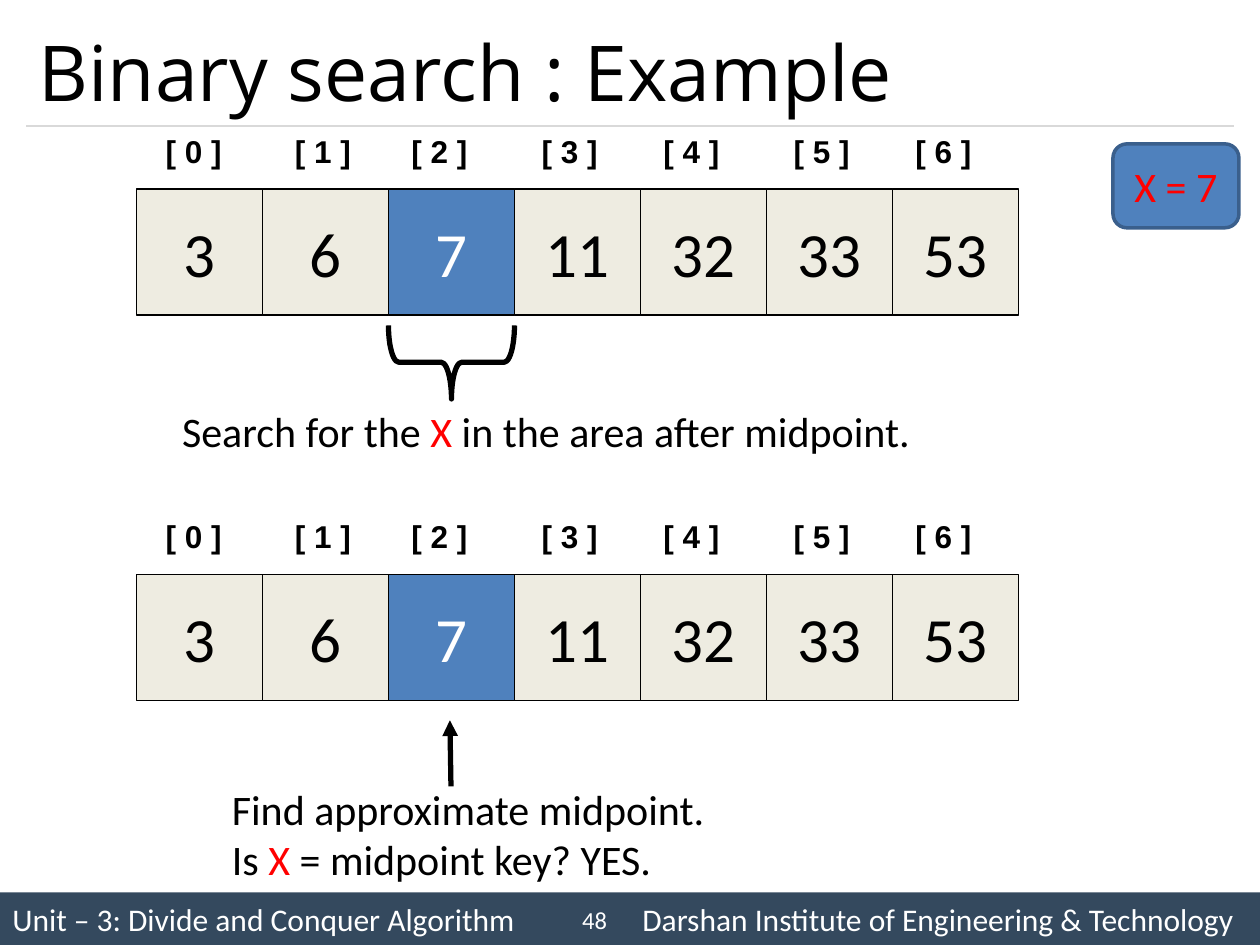
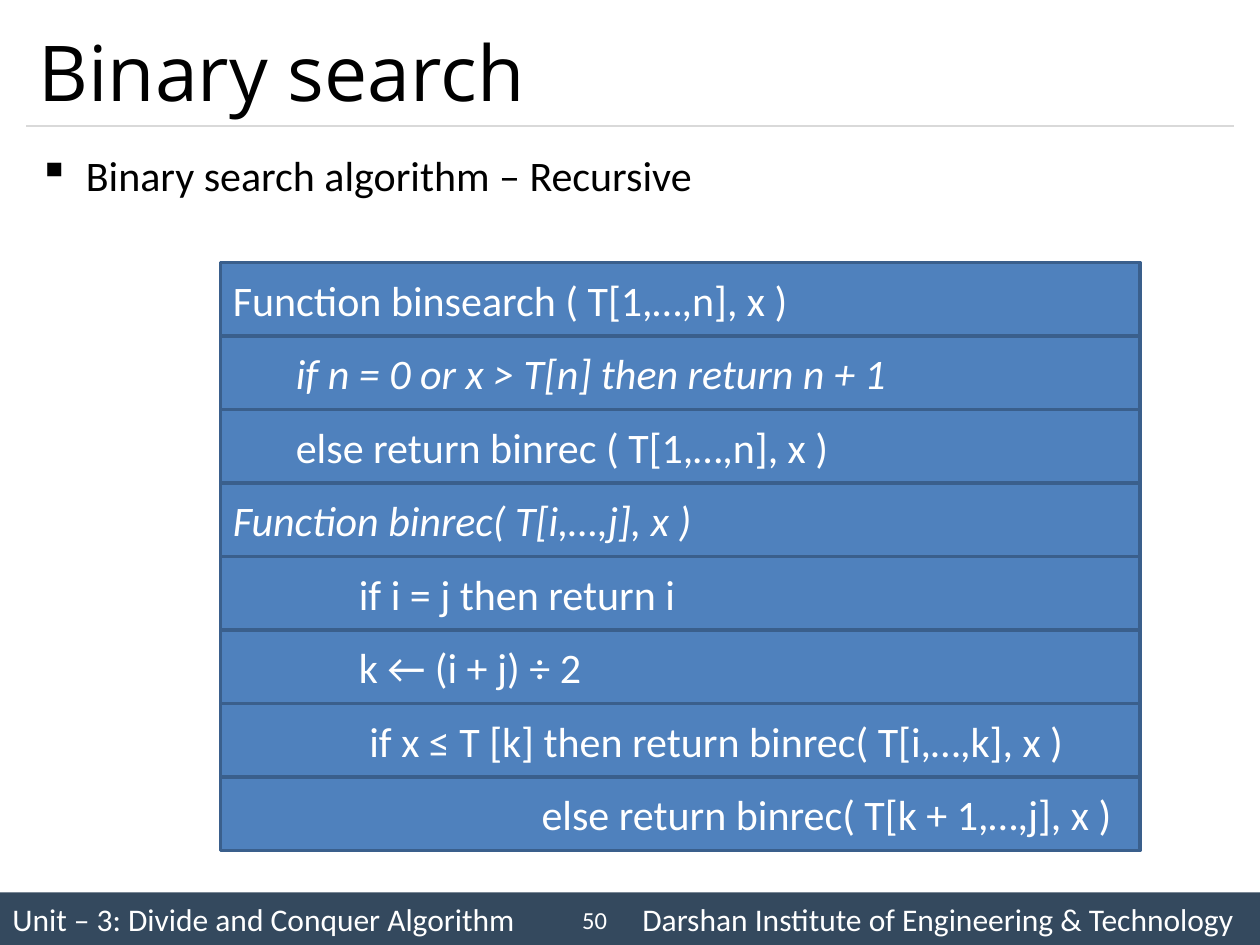
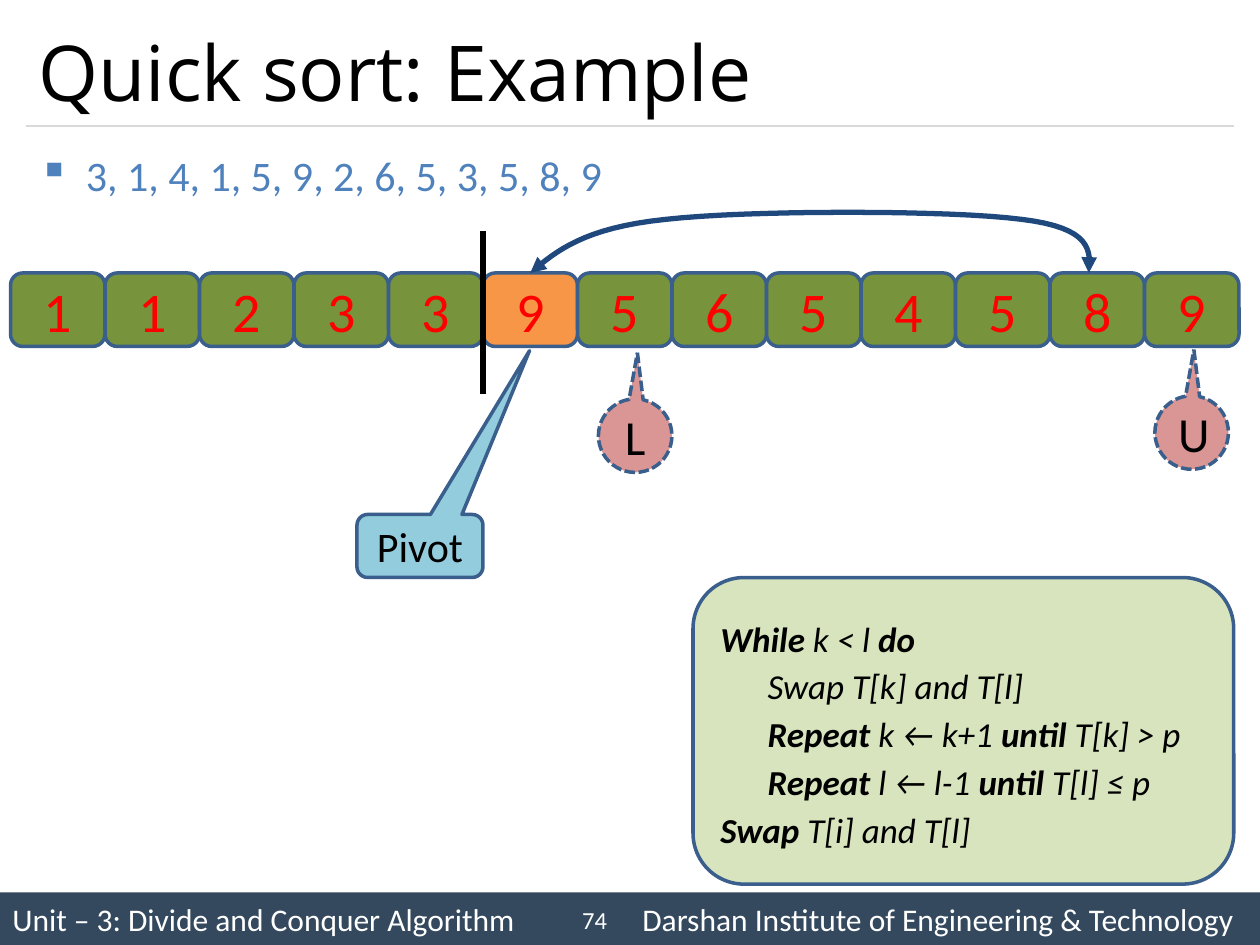
"""Builds three lecture slides on binary search and quick sort."""
from lxml.etree import SubElement
from pptx import Presentation
from pptx.dml.color import RGBColor
from pptx.enum.dml import MSO_LINE
from pptx.enum.shapes import MSO_CONNECTOR, MSO_SHAPE
from pptx.enum.text import MSO_ANCHOR, PP_ALIGN
from pptx.oxml.ns import qn
from pptx.util import Inches, Pt

BLACK, WHITE, RED = "000000", "FFFFFF", "FF0000"
BLUE, EDGE, NAVY, BAND, RULE = "4F81BD", "3A5F8C", "1F497D", "34495E", "D9D9D9"
CREAM, GREEN, ORANGE = "EEECE1", "77933C", "F79646"
ROSE, SKY, LIME = "D99694", "93CDDD", "D7E4BD"
LEFT, CENTER, RIGHT, JUSTIFY = PP_ALIGN.LEFT, PP_ALIGN.CENTER, PP_ALIGN.RIGHT, PP_ALIGN.JUSTIFY
BLANK_LAYOUT = 6
UNITS_PER_INCH = 12


def grid(units):
    """Turn columns or rows of the 120 by 90 slide grid into a length."""
    return Inches(units / UNITS_PER_INCH)


def rgb(code):
    """Turn a hex string into a colour."""
    return RGBColor.from_string(code)


def write(box, *lines, size=24, color=BLACK, font="Calibri", bold=False, italic=False,
          align=LEFT, anchor=MSO_ANCHOR.MIDDLE, spacing=None, indents=(), hanging=0,
          bullet=None, tab=None, accent=None):
    """Write one paragraph per line; parts between bars take the accent format."""
    frame = box.text_frame
    frame.word_wrap = True
    frame.vertical_anchor = anchor
    base = {"color": color, "bold": bold, "italic": italic}
    for index, line in enumerate(lines):
        para = frame.paragraphs[0] if index == 0 else frame.add_paragraph()
        para.alignment = align
        if spacing:
            para.line_spacing = spacing
        properties = para._p.get_or_add_pPr()
        if indents:
            properties.set("marL", str(grid(indents[index])))
            properties.set("indent", str(-grid(hanging)))
        if bullet:
            SubElement(properties, qn("a:buChar"), char=bullet)
        if tab:
            stops = SubElement(properties, qn("a:tabLst"))
            SubElement(stops, qn("a:tab"), pos=str(grid(tab)), algn="l")
        for part, text in enumerate(line.split("|")):
            if not text:
                continue
            style = {**base, **accent} if accent and part % 2 else base
            span = para.add_run()
            span.text = text
            span.font.name = font
            span.font.size = Pt(size)
            span.font.bold = style["bold"]
            span.font.italic = style["italic"]
            span.font.color.rgb = rgb(style["color"])


def stroke(line, color, width, heads=()):
    """Set the colour, width and arrowheads of a line."""
    line.color.rgb = rgb(color)
    line.width = Pt(width)
    for end in heads:
        SubElement(line._get_or_add_ln(), qn(f"a:{end}"), type="triangle")


def bezier(start, first, second, end, steps=16):
    """List the points after the start along a cubic curve."""
    points = []
    for step in range(1, steps + 1):
        t = step / steps
        weights = ((1 - t) ** 3, 3 * t * (1 - t) ** 2, 3 * t * t * (1 - t), t ** 3)
        points.append(tuple(sum(weight * point[axis] for weight, point
                                in zip(weights, (start, first, second, end)))
                            for axis in (0, 1)))
    return points


class Lecture:
    """Holds the deck style and the current slide."""

    def __init__(self):
        """Start an empty deck of 10 by 7.5 inches."""
        self.deck = Presentation()
        self.deck.slide_width = grid(120)
        self.deck.slide_height = grid(90)
        self.page = None

    def new_page(self, title, number):
        """Add a slide with its title, rule, footer band and page number."""
        self.page = self.deck.slides.add_slide(self.deck.slide_layouts[BLANK_LAYOUT])
        band = self.shape(MSO_SHAPE.RECTANGLE, 0, 85, 120, 5, fill=BAND, edge=None)
        write(band, "Unit – 3: Divide and Conquer Algorithm\t"
                    "Darshan Institute of Engineering & Technology",
              size=18, color=WHITE, tab=60)
        self.line((2.5, 12), (117.5, 12), color=RULE, width=0.75)
        self.text(2.5, 1.5, 115, 10.5, title, size=44, font="Open Sans")
        self.text(53, 85.2, 6, 4.8, str(number), size=14, color=WHITE, align=RIGHT)

    def text(self, column, row, columns, rows, *lines, **style):
        """Add a text box."""
        box = self.page.shapes.add_textbox(*map(grid, (column, row, columns, rows)))
        write(box, *lines, **style)

    def bullet(self, line, color=BLACK):
        """Add the bulleted line under the title."""
        self.text(2.5, 13, 115, 8, line, color=color, align=JUSTIFY, spacing=1.14,
                  anchor=MSO_ANCHOR.TOP, indents=(4.5,), hanging=4.5, bullet="▪")

    def shape(self, kind, column, row, columns, rows, fill=BLUE, edge=EDGE, width=2,
              adjust=(), dashed=False):
        """Add a preset shape without shadow and return it."""
        box = self.page.shapes.add_shape(kind, *map(grid, (column, row, columns, rows)))
        box.shadow.inherit = False
        for index, value in enumerate(adjust):
            box.adjustments[index] = value
        if fill:
            box.fill.solid()
            box.fill.fore_color.rgb = rgb(fill)
        else:
            box.fill.background()
        if edge:
            stroke(box.line, edge, width)
        else:
            box.line.fill.background()
        if dashed:
            box.line.dash_style = MSO_LINE.SQUARE_DOT
        return box

    def line(self, start, end, color=BLACK, width=3, heads=()):
        """Add a straight line with optional arrowheads."""
        link = self.page.shapes.add_connector(MSO_CONNECTOR.STRAIGHT,
                                              *map(grid, (*start, *end)))
        stroke(link.line, color, width, heads)
        SubElement(link._element.spPr, qn("a:effectLst"))

    def curve(self, start, *pieces):
        """Add a curved arrow with a head at both ends."""
        builder = self.page.shapes.build_freeform(*map(grid, start))
        points = []
        for piece in pieces:
            points += bezier(points[-1] if points else start, *piece)
        builder.add_line_segments([tuple(map(grid, point)) for point in points], close=False)
        arrow = builder.convert_to_shape()
        arrow.shadow.inherit = False
        arrow.fill.background()
        stroke(arrow.line, NAVY, 3, ("headEnd", "tailEnd"))

    def search_array(self, row):
        """Add the indexed array with its midpoint marked."""
        label_columns = (14.6, 26, 38, 49.5, 62, 73.5, 86)
        for index, value in enumerate((3, 6, 7, 11, 32, 33, 53)):
            middle = index == 2
            self.text(label_columns[index], row - 6, 9.5, 6, f"[ {index} ]", size=18,
                      font="Arial", bold=True, anchor=MSO_ANCHOR.TOP,
                      align=CENTER if index % 2 else LEFT)
            cell = self.shape(MSO_SHAPE.RECTANGLE, 13 + 12 * index, row, 12, 12,
                              fill=BLUE if middle else CREAM, edge=BLACK, width=0.75)
            write(cell, str(value), size=36, color=WHITE if middle else BLACK, align=CENTER)


def binary_search_example(lecture):
    """Show the last two steps of a binary search."""
    lecture.new_page("Binary search : Example", 48)
    red = {"color": RED}
    lecture.search_array(18)
    brace = lecture.shape(MSO_SHAPE.LEFT_BRACE, 39.5, 28.5, 7, 12, fill=None,
                          edge=BLACK, width=3, adjust=(0.14, 0.5))
    brace.rotation = 270
    lecture.text(13, 38, 78, 6, "Search for the |X| in the area after midpoint.",
                 align=CENTER, anchor=MSO_ANCHOR.TOP, accent=red)
    lecture.search_array(54.7)
    lecture.line((42.85, 68.6), (42.95, 74.9), heads=("headEnd",))
    lecture.text(20.9, 74, 54, 10.9, "Find approximate midpoint.",
                 "Is |X| = midpoint key? YES.", anchor=MSO_ANCHOR.TOP, accent=red)
    target = lecture.shape(MSO_SHAPE.ROUNDED_RECTANGLE, 106, 13.7, 12, 8)
    write(target, "X = 7", color=RED, align=CENTER)


def binary_search_code(lecture):
    """Show the recursive algorithm, one band per line."""
    lecture.new_page("Binary search", 50)
    lecture.bullet("Binary search algorithm – Recursive")
    steps = (
        (0, False, "Function binsearch ( T[1,…,n], x )"),
        (6, True, "if n = 0 or x > T[n] then return n + 1"),
        (6, False, "else return binrec ( T[1,…,n], x )"),
        (0, True, "Function binrec( T[i,…,j], x )"),
        (12, False, "if i = j then return i"),
        (12, False, "k ← (i + j) ÷ 2"),
        (13, False, "if x ≤ T [k] then return binrec( T[i,…,k], x )"),
        (29.4, False, "else return binrec( T[k + 1,…,j], x )"),
    )
    for index, (indent, italic, code) in enumerate(steps):
        band = lecture.shape(MSO_SHAPE.RECTANGLE, 21, 25 + 7 * index, 87.6, 7)
        write(band, code, color=WHITE, italic=italic, indents=(indent,))


def quick_sort_example(lecture):
    """Show one swap of a quick sort with its pointers and loop."""
    lecture.new_page("Quick sort: Example", 74)
    lecture.bullet("3, 1, 4, 1, 5, 9, 2, 6, 5, 3, 5, 8, 9", color=BLUE)
    pivot_index = 5
    for index, value in enumerate((1, 1, 2, 3, 3, 9, 5, 6, 5, 4, 5, 8, 9)):
        cell = lecture.shape(MSO_SHAPE.ROUNDED_RECTANGLE, 1 + 9 * index, 26, 9, 7,
                             fill=ORANGE if index == pivot_index else GREEN)
        write(cell, str(value), size=32, color=RED, align=CENTER)
    for name, column, row in (("L", 57, 38), ("U", 110, 37.7)):
        pointer = lecture.shape(MSO_SHAPE.OVAL_CALLOUT, column, row, 7, 7, fill=ROSE,
                                adjust=(0.03, -1.13), dashed=True)
        write(pointer, name, size=28, align=CENTER)
    pivot = lecture.shape(MSO_SHAPE.ROUNDED_RECTANGULAR_CALLOUT, 34, 49, 12, 6, fill=SKY,
                          adjust=(0.87, -3.1, 0.17))
    write(pivot, "Pivot", align=CENTER)
    lecture.line((46, 22), (46, 37.5))
    lecture.curve((50.5, 26),
                  ((53, 23.9), (55.6, 21.7), (63.4, 20.9)),
                  ((71.2, 20), (90.6, 20), (97.3, 20.9)),
                  ((104, 21.7), (103.9, 23.9), (103.7, 26)))
    loop = lecture.shape(MSO_SHAPE.ROUNDED_RECTANGLE, 66, 55, 51.5, 29.2, fill=LIME)
    write(loop, "|While| k < l |do|", "Swap T[k] and T[l]",
          "|Repeat| k ← k+1 |until| T[k] > p", "|Repeat| l ← l-1 |until| T[l] ≤ p",
          "|Swap| T[i] and T[l]", size=20, italic=True, spacing=1.14,
          indents=(0, 4.5, 4.5, 4.5, 0), accent={"bold": True})


def main():
    """Build the slides and save the deck."""
    lecture = Lecture()
    binary_search_example(lecture)
    binary_search_code(lecture)
    quick_sort_example(lecture)
    lecture.deck.save("out.pptx")


if __name__ == "__main__":
    main()
